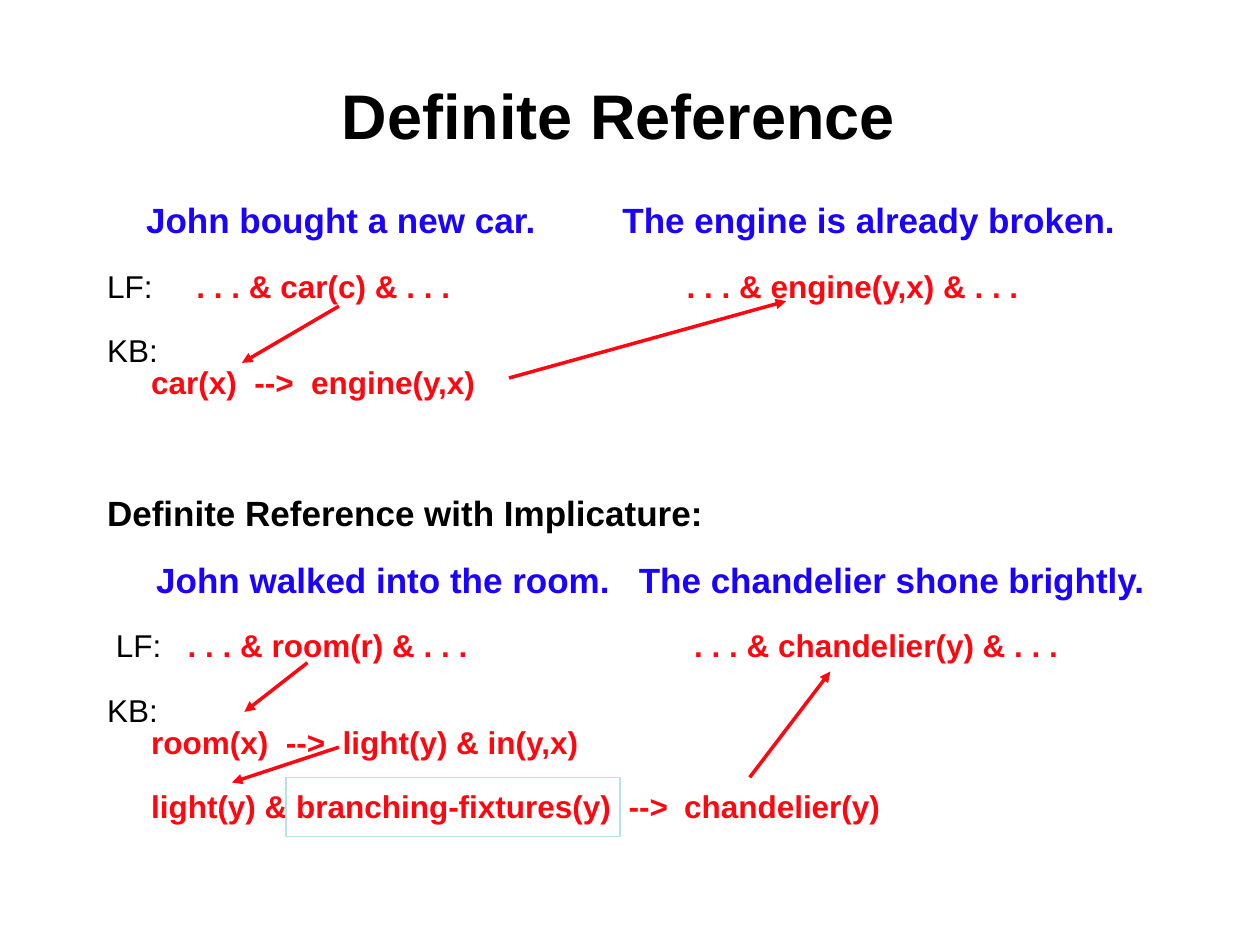
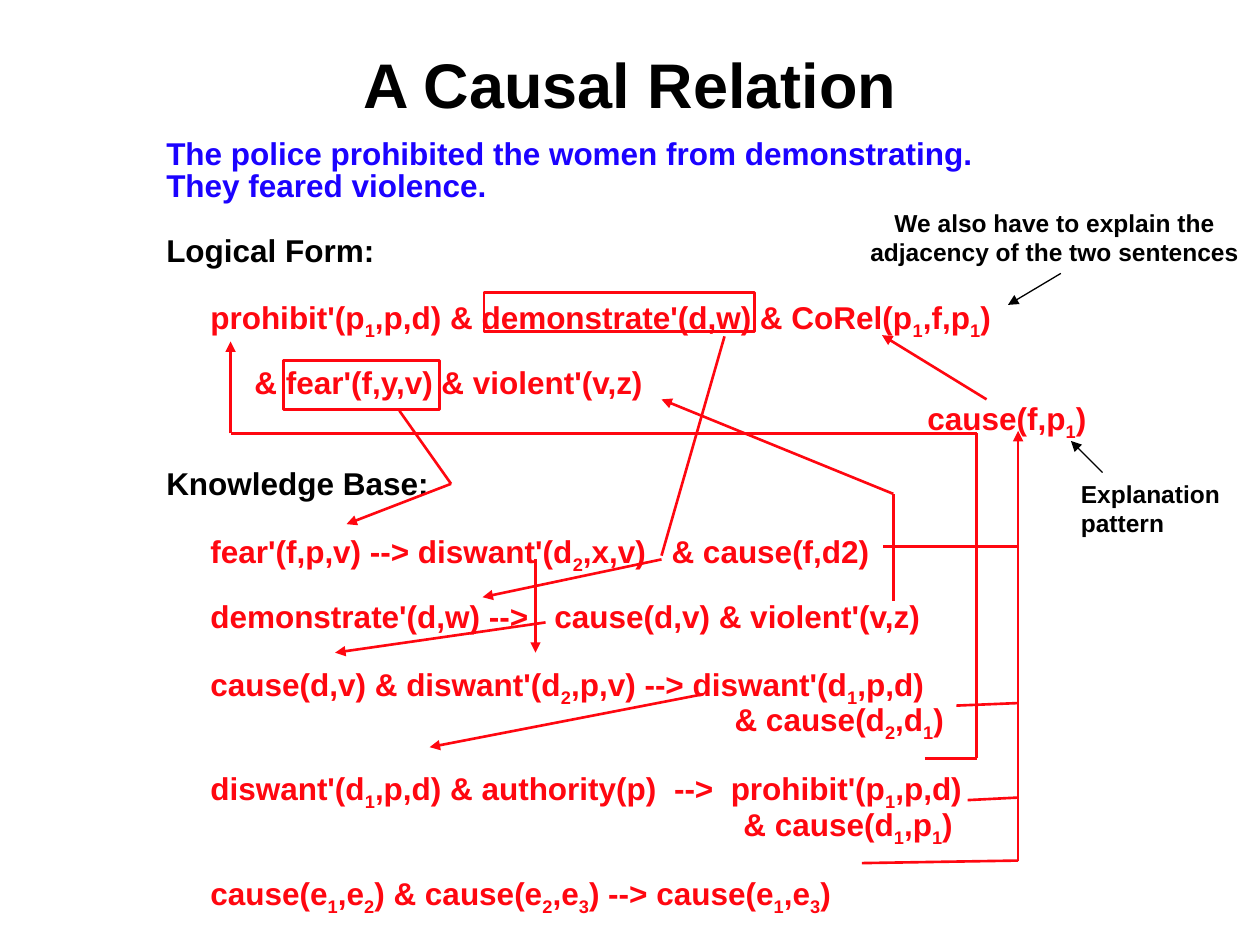
from itertools import pairwise

from lxml import etree
from pptx import Presentation
from pptx.dml.color import RGBColor as RGB
from pptx.enum.shapes import MSO_CONNECTOR as CONN, MSO_SHAPE as SHAPE
from pptx.enum.text import PP_ALIGN as ALIGN
from pptx.oxml.ns import qn
from pptx.util import Inches, Pt

COLORS = {"black": "000000", "blue": "1B02FF", "red": "FF0710", "pale": "BBE0E3"}
STYLES = {"label": ("black", False), "head": ("black", True),
          "blue": ("blue", True), "red": ("red", True)}
FONT = "Arial"
LINE = 18.4


def add_text(s, box, margins, paragraphs, align=ALIGN.LEFT, spacing=None):
    tf = s.shapes.add_textbox(*map(Inches, box)).text_frame
    tf.word_wrap = True
    tf.margin_left = tf.margin_right = Inches(margins[0])
    tf.margin_top = tf.margin_bottom = Inches(margins[1])
    for i, (gap, size, stops, parts) in enumerate(paragraphs):
        p = tf.paragraphs[0] if i == 0 else tf.add_paragraph()
        p.alignment = align
        if spacing:
            p.line_spacing = Pt(spacing)
        if gap:
            p.space_before = Pt(gap)
        if stops:
            tabs = etree.SubElement(p._p.get_or_add_pPr(), qn("a:tabLst"))
            for stop in stops:
                etree.SubElement(tabs, qn("a:tab"), pos=str(Inches(stop)), algn="l")
        p.font.name, p.font.size = FONT, Pt(size)
        for style, text in parts:
            color, bold = STYLES[style]
            first, *rest = text.split("_")
            pieces = [(first, False)]
            for piece in rest:
                pieces += [(piece[0], True), (piece[1:], False)]
            fonts = [p.font] if len(parts) == 1 else []
            for piece, subscript in pieces:
                r = p.add_run()
                r.text = piece
                if subscript:
                    r._r.get_or_add_rPr().set("baseline", "-25000")
                if len(parts) > 1:
                    fonts.append(r.font)
            for font in fonts:
                font.bold = bold
                font.color.rgb = RGB.from_string(COLORS[color])


def add_route(s, points, color, width, arrow=True):
    for start, end in pairwise(points):
        c = s.shapes.add_connector(CONN.STRAIGHT, *map(Inches, start + end))
        c.line.color.rgb = RGB.from_string(COLORS[color])
        c.line.width = Pt(width)
        if arrow and end == points[-1]:
            etree.SubElement(c.line._get_or_add_ln(), qn("a:tailEnd"), type="triangle")
        etree.SubElement(c._element.spPr, qn("a:effectLst"))


prs = Presentation()
prs.slide_width, prs.slide_height = Inches(10), Inches(7.5)

reference_lines = [
    (0, 20, [0.31, 4.09], [("blue", "\tJohn bought a new car.\tThe engine is already broken.")]),
    (18.5, 18, [0.71, 4.6], [("label", "LF:"),
                             ("red", "\t. . . & car(c) & . . .\t. . . & engine(y,x) & . . .")]),
    (18, 18, [], [("label", "KB:")]),
    (0, 18, [0.35, 1.17, 1.62], [("red", "\tcar(x)\t-->\tengine(y,x)")]),
    (57.5, 20, [], [("head", "Definite Reference with Implicature:")]),
    (20, 20, [0.39, 4.22], [("blue", "\tJohn walked into the room.\tThe chandelier shone brightly.")]),
    (18, 18, [0.07, 0.64, 4.66], [("label", "\tLF:"),
                                  ("red", "\t. . . & room(r) & . . .\t. . . & chandelier(y) & . . .")]),
    (18.4, 18, [], [("label", "KB:")]),
    (0, 18, [0.35, 1.42, 1.87], [("red", "\troom(x)\t-->\tlight(y) & in(y,x)")]),
    (18, 18, [0.35, 4.14, 4.58],
     [("red", "\tlight(y) & branching-fixtures(y)\t-->\tchandelier(y)")]),
]
reference_routes = [
    [(4.04, 3), (6.24, 2.39)],
    [(2.69, 2.43), (1.92, 2.88)],
    [(5.95, 6.17), (6.59, 5.33)],
    [(2.69, 5.93), (1.84, 6.21)],
    [(2.44, 5.26), (1.94, 5.65)],
]

causal_lines = [
    (0, 18, [], [("blue", "The police prohibited the women from demonstrating.")]),
    (0, 18, [], [("blue", "They feared violence.")]),
    (18.5, 18, [], [("head", "Logical Form:")]),
    (23, 18, [0.35], [("red", "\tprohibit'(p_1,p,d) & demonstrate'(d,w) & CoRel(p_1,f,p_1)")]),
    (15.5, 18, [0.7], [("red", "\t& fear'(f,y,v) & violent'(v,z)")]),
    (5.5, 18, [6.04], [("red", "\tcause(f,p_1)")]),
    (15.5, 18, [], [("head", "Knowledge Base:")]),
    (23.5, 18, [0.35, 4.01], [("red", "\tfear'(f,p,v) --> diswant'(d_2,x,v)\t& cause(f,d2)")]),
    (15.5, 18, [0.35, 3.08], [("red", "\tdemonstrate'(d,w) -->\tcause(d,v) & violent'(v,z)")]),
    (23.5, 18, [0.35], [("red", "\tcause(d,v) & diswant'(d_2,p,v) --> diswant'(d_1,p,d)")]),
    (2, 18, [4.51], [("red", "\t& cause(d_2,d_1)")]),
    (21, 18, [0.35, 4.03, 4.48],
     [("red", "\tdiswant'(d_1,p,d) & authority(p)\t-->\tprohibit'(p_1,p,d)")]),
    (2, 18, [4.58], [("red", "\t& cause(d_1,p_1)")]),
    (21, 18, [0.35], [("red", "\tcause(e_1,e_2) & cause(e_2,e_3) --> cause(e_1,e_3)")]),
]
causal_routes = [
    [(3.17, 3.26), (3.58, 3.84), (2.75, 4.16)],
    [(5.75, 2.67), (5.25, 4.41)],
    [(5.25, 4.44), (3.83, 4.74)],
    [(4.25, 4.44), (4.25, 5.18)],
    [(4.33, 4.94), (2.66, 5.18)],
    [(7.09, 4.77), (7.09, 3.92), (5.25, 3.17)],
    [(5.58, 5.51), (3.41, 5.93)],
    [(7.34, 6.02), (7.75, 6.02), (7.75, 3.44), (1.83, 3.44), (1.83, 2.71)],
    [(7.01, 4.34), (8.08, 4.34)],
    [(7.59, 5.6), (8.08, 5.58)],
    [(7.68, 6.35), (8.08, 6.33)],
    [(6.84, 6.85), (8.08, 6.83), (8.08, 3.42)],
    [(7.83, 3.17), (7, 2.66)],
]
plain_starts = [(5.75, 2.67), (7.01, 4.34), (7.59, 5.6), (7.68, 6.35)]

slides = [
    ("Definite Reference", (2.51, 0.58, 4.8, 0.66), (0.78, 1.62, 8.6, 5.24),
     reference_lines, reference_routes, 2,
     [(2.27, 6.17, 2.65, 0.47)], "pale", 1),
    ("A Causal Relation", (2.6, 0.33, 4.8, 0.66), (1.25, 1.08, 7.6, 6.2),
     causal_lines, causal_routes, 1.5,
     [(3.84, 2.32, 2.15, 0.31), (2.25, 2.86, 1.24, 0.39)], "red", 1.5),
]
for title, title_box, body_box, lines, routes, width, frames, frame_color, frame_width in slides:
    s = prs.slides.add_slide(prs.slide_layouts[6])
    add_text(s, title_box, (0.07, 0.03), [(0, 36, [], [("head", title)])], ALIGN.CENTER)
    add_text(s, body_box, (0.07, 0.03), lines, spacing=LINE)
    for frame in frames:
        sp = s.shapes.add_shape(SHAPE.RECTANGLE, *map(Inches, frame))
        sp.shadow.inherit = False
        sp.fill.background()
        sp.line.color.rgb = RGB.from_string(COLORS[frame_color])
        sp.line.width = Pt(frame_width)
    for points in routes:
        add_route(s, points, "red", width, points[0] not in plain_starts)

notes = [
    ((6.76, 1.6, 3.22, 0.57), ALIGN.CENTER, [(8.42, 2.17), (8, 2.42)],
     ["We also have to explain the", "adjacency of the two sentences"]),
    ((8.48, 3.75, 1.45, 0.57), ALIGN.LEFT, [(8.75, 3.75), (8.5, 3.5)],
     ["Explanation", "pattern"]),
]
for box, align, points, texts in notes:
    add_text(s, box, (0.1, 0.05), [(0, 14, [], [("head", text)]) for text in texts], align)
    add_route(s, points, "black", 0.75)

prs.save("out.pptx")
